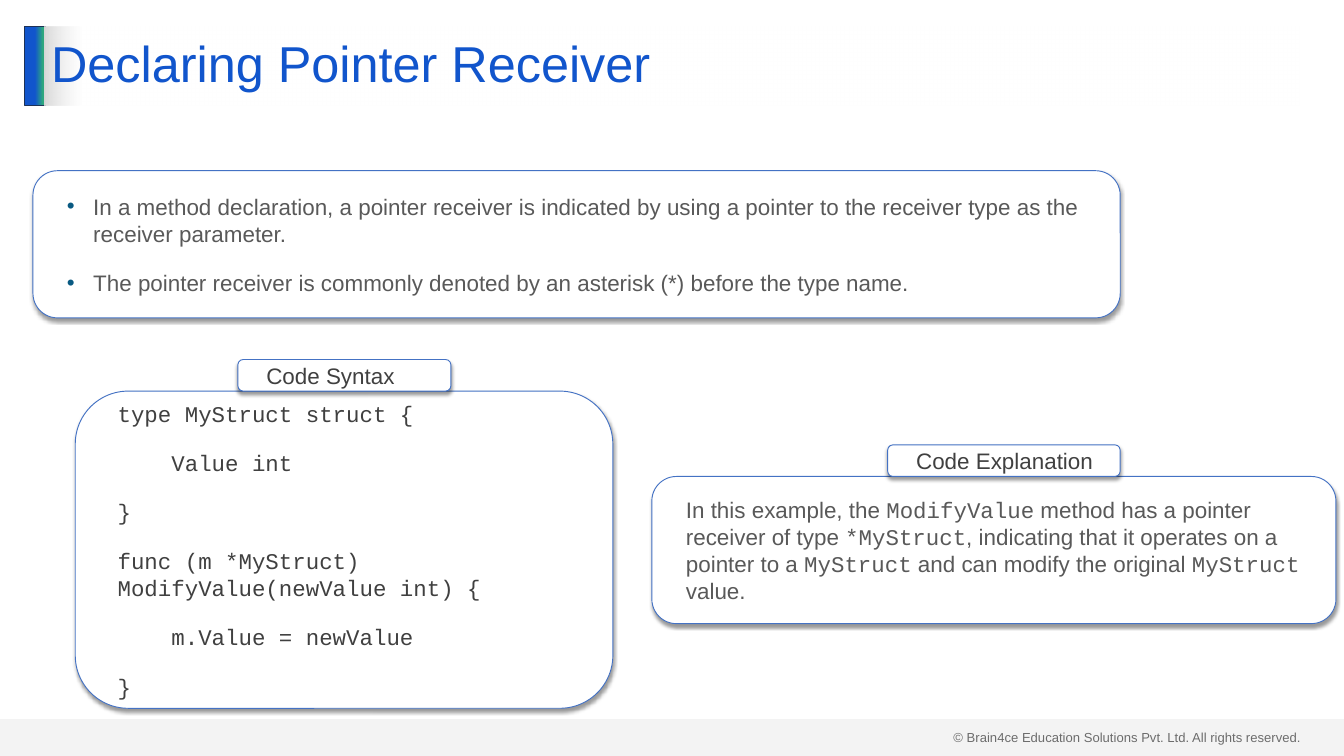
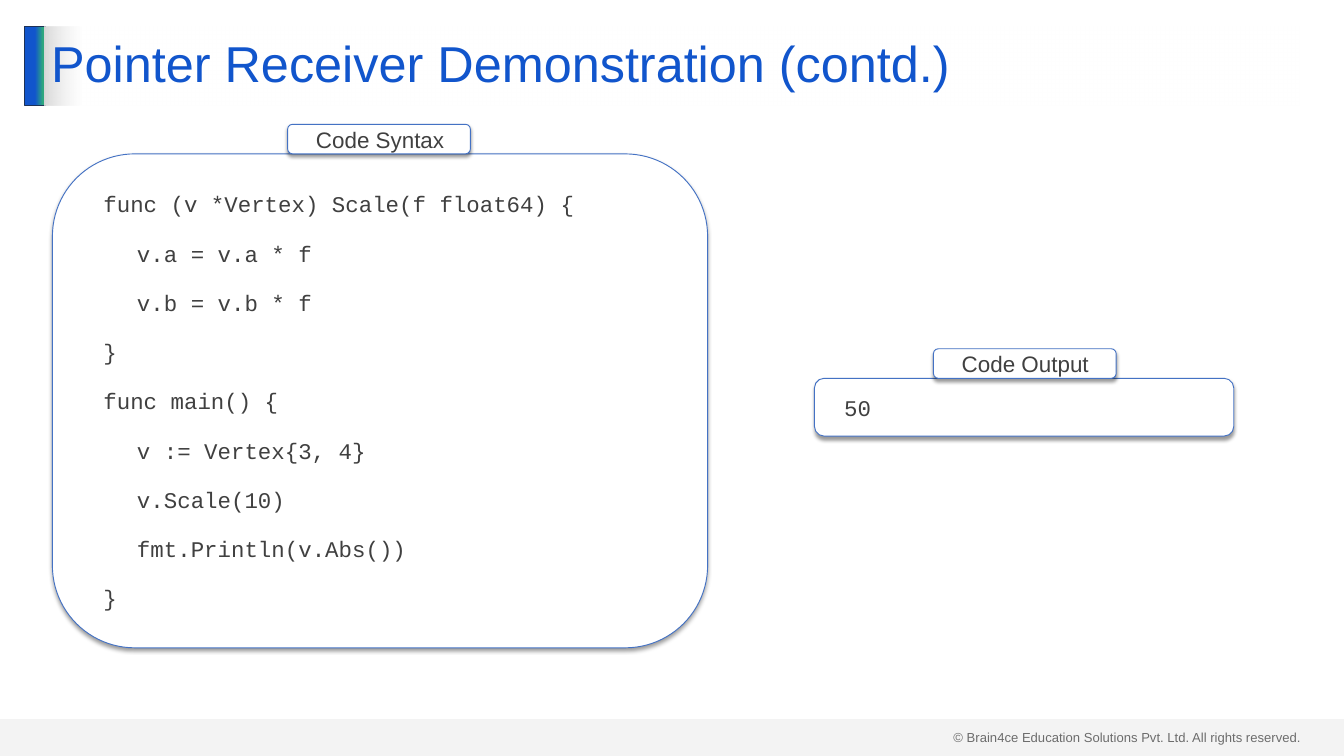
from lxml import etree
from pptx import Presentation
from pptx.dml.color import RGBColor
from pptx.enum import shapes, text
from pptx.oxml.ns import qn
from pptx.util import Inches, Pt

WHITE = RGBColor(0xFF, 0xFF, 0xFF)
BLACK = RGBColor(0, 0, 0)
BLUE = RGBColor(0x11, 0x55, 0xCC)
GREEN = RGBColor(0x2E, 0xA8, 0x7D)
NAVY = RGBColor(0x1E, 0x32, 0x56)
OUTLINE = RGBColor(0x44, 0x72, 0xC4)
BULLET = RGBColor(0x09, 0x5A, 0x82)
BAND = RGBColor(0xD9, 0xD9, 0xD9)
DARK = RGBColor(0x40, 0x40, 0x40)
GREY = RGBColor(0x59, 0x59, 0x59)
SANS, MONO = "Arial", "Courier New"
RECT = shapes.MSO_SHAPE.RECTANGLE
ROUNDED = shapes.MSO_SHAPE.ROUNDED_RECTANGLE
TITLE_BOX = (0.66, 0.39, 18.67, 1.18)

INTRO = [
    "In a method declaration, a pointer receiver is indicated by using a pointer "
    "to the receiver type as the receiver parameter.",
    "The pointer receiver is commonly denoted by an asterisk (*) before the type name.",
]
STRUCT_CODE = [
    "type MyStruct struct {",
    "    Value int",
    "}",
    "func (m *MyStruct) ModifyValue(newValue int) {",
    "    m.Value = newValue",
    "}",
]
EXPLANATION = [
    "In this example, the `ModifyValue` method has a pointer receiver of type "
    "`*MyStruct`, indicating that it operates on a pointer to a `MyStruct` "
    "and can modify the original `MyStruct` value.",
]
SCALE_CODE = [
    "func (v *Vertex) Scale(f float64) {",
    "\tv.a = v.a * f",
    "\tv.b = v.b * f",
    "}",
    "func main() {",
    "\tv := Vertex{3, 4}",
    "\tv.Scale(10)",
    "\tfmt.Println(v.Abs())",
    "}",
]


def add_color(parent, color, alpha=100):
    """Append a colour element with the given opacity in percent."""
    clr = etree.SubElement(parent, qn("a:srgbClr"), val=str(color))
    if alpha < 100:
        etree.SubElement(clr, qn("a:alpha"), val=str(alpha * 1000))


def set_gradient(sp, stops):
    """Fill a shape left to right with (percent, colour, opacity) stops."""
    sp.fill.gradient()
    sp.fill.gradient_angle = 0
    stop_list = sp.element.spPr.find(".//" + qn("a:gsLst"))
    for stop in list(stop_list):
        stop_list.remove(stop)
    for pos, color, alpha in stops:
        gs = etree.SubElement(stop_list, qn("a:gs"), pos=str(pos * 1000))
        add_color(gs, color, alpha)


def add_shadow(sp):
    """Give a shape a soft shadow below it."""
    effects = sp.element.spPr.find(qn("a:effectLst"))
    shadow = etree.SubElement(effects, qn("a:outerShdw"), blurRad=str(Pt(4)),
                              dist=str(Pt(3)), dir="5400000", rotWithShape="0")
    add_color(shadow, BLACK, 40)


def add_box(s, kind, box):
    """Add a preset shape without the theme's shadow."""
    sp = s.shapes.add_shape(kind, *map(Inches, box))
    sp.shadow.inherit = False
    return sp


def style(font, name, size, color):
    """Set the typeface, size and colour of a font."""
    font.name, font.size, font.color.rgb = name, Pt(size), color


def build_layout(prs, layout):
    """Move the footer, accent bar and bottom band into the shared layout."""
    for ph in list(layout.placeholders):
        if ph.placeholder_format.type != shapes.PP_PLACEHOLDER.TITLE:
            layout.shapes.element.remove(ph.element)
    s = prs.slides[0]

    footer = s.shapes.add_textbox(*map(Inches, (14.09, 10.8, 5.41, 0.34)))
    tf = footer.text_frame
    tf.word_wrap = True
    tf.text = "© Brain4ce Education Solutions Pvt. Ltd. All rights reserved."
    style(tf.paragraphs[0].runs[0].font, SANS, 14, DARK)

    accent = add_box(s, RECT, (0.37, 0.39, 0.3, 1.18))
    set_gradient(accent, [(51, BLUE, 100), (90, GREEN, 100), (100, GREEN, 100)])
    accent.line.color.rgb = NAVY
    accent.line.width = Pt(1)

    band = add_box(s, RECT, (0, 10.7, 20, 0.55))
    band.fill.solid()
    band.fill.fore_color.rgb = BAND
    clr = band.element.spPr.find(".//" + qn("a:srgbClr"))
    etree.SubElement(clr, qn("a:alpha"), val="29000")
    band.line.fill.background()

    for sp in (footer, accent, band):
        layout.shapes.element.append(sp.element)


def add_title(s, title):
    """Place and format the slide title."""
    sp = s.shapes.title
    sp.left, sp.top, sp.width, sp.height = map(Inches, TITLE_BOX)
    set_gradient(sp, [(0, BAND, 100), (0, BAND, 100), (3, WHITE, 50)])
    tf = sp.text_frame
    tf.text = title
    tf.auto_size = text.MSO_AUTO_SIZE.NONE
    tf.vertical_anchor = text.MSO_ANCHOR.MIDDLE
    p = tf.paragraphs[0]
    p.alignment = text.PP_ALIGN.LEFT
    p.line_spacing = 0.9
    style(p.runs[0].font, SANS, 54, BLUE)


def set_indent(p, bulleted):
    """Indent a paragraph, with a hanging bullet if wanted."""
    p.level = 1
    pPr = p._p.get_or_add_pPr()
    pPr.set("marL", str(Inches(0.59 if bulleted else 0.2)))
    pPr.set("indent", str(Inches(-0.39 if bulleted else 0)))
    if bulleted:
        add_color(etree.SubElement(pPr, qn("a:buClr")), BULLET)
        etree.SubElement(pPr, qn("a:buFont"), typeface=SANS)
        etree.SubElement(pPr, qn("a:buChar"), char="•")


def add_panel(s, box, lines, font=SANS, color=DARK, bulleted=False):
    """Add a rounded panel of paragraphs; backticks mark inline code."""
    sp = add_box(s, ROUNDED, box)
    sp.fill.solid()
    sp.fill.fore_color.rgb = WHITE
    sp.line.color.rgb = OUTLINE
    sp.line.width = Pt(1)
    add_shadow(sp)
    tf = sp.text_frame
    tf.word_wrap = True
    tf.vertical_anchor = text.MSO_ANCHOR.MIDDLE
    tf.margin_left = tf.margin_right = Inches(0.2)
    tf.margin_top = tf.margin_bottom = Inches(0.1)
    for i, line in enumerate(lines):
        p = tf.add_paragraph() if i else tf.paragraphs[0]
        set_indent(p, bulleted)
        p.alignment = text.PP_ALIGN.LEFT
        p.space_before = Pt(12 if i else 0)
        p.space_after = Pt(12 if i < len(lines) - 1 else 0)
        for j, part in enumerate(line.split("`")):
            r = p.add_run()
            r.text = part
            style(r.font, MONO if j % 2 else font, 24, color)


def add_labelled_panel(s, box, label, tab, lines, **look):
    """Add a panel with a label tab (offset, width, height) on its top edge."""
    left, top = box[:2]
    offset, width, height = tab
    add_panel(s, box, lines, **look)
    add_panel(s, (left + offset, top - height, width, height), [label])


def build_declaring(s):
    """Fill the slide that declares a pointer receiver."""
    add_title(s, "Declaring Pointer Receiver")
    add_panel(s, (0.49, 2.54, 16.18, 2.19), INTRO, color=GREY, bulleted=True)
    add_labelled_panel(s, (1.12, 5.82, 8, 4.72), "Code Syntax",
                       (2.42, 3.17, 0.47), STRUCT_CODE, font=MONO)
    add_labelled_panel(s, (9.7, 7.09, 10.18, 2.19), "Code Explanation",
                       (3.51, 3.46, 0.47), EXPLANATION, color=GREY)


def build_demonstration(s):
    """Fill the slide that demonstrates a pointer receiver."""
    add_title(s, "Pointer Receiver Demonstration (contd.)")
    add_labelled_panel(s, (0.78, 2.29, 9.75, 7.35), "Code Syntax",
                       (3.5, 2.72, 0.44), SCALE_CODE, font=MONO)
    add_labelled_panel(s, (12.12, 5.63, 6.24, 0.86), "Code Output",
                       (1.77, 2.72, 0.44), ["50"], font=MONO)


def main():
    """Build and save the presentation."""
    prs = Presentation()
    prs.slide_width, prs.slide_height = Inches(20), Inches(11.25)
    layout = prs.slide_layouts.get_by_name("Title Only")
    declaring, demonstration = [prs.slides.add_slide(layout) for _ in range(2)]
    build_layout(prs, layout)
    build_declaring(declaring)
    build_demonstration(demonstration)
    prs.save("out.pptx")


if __name__ == "__main__":
    main()
